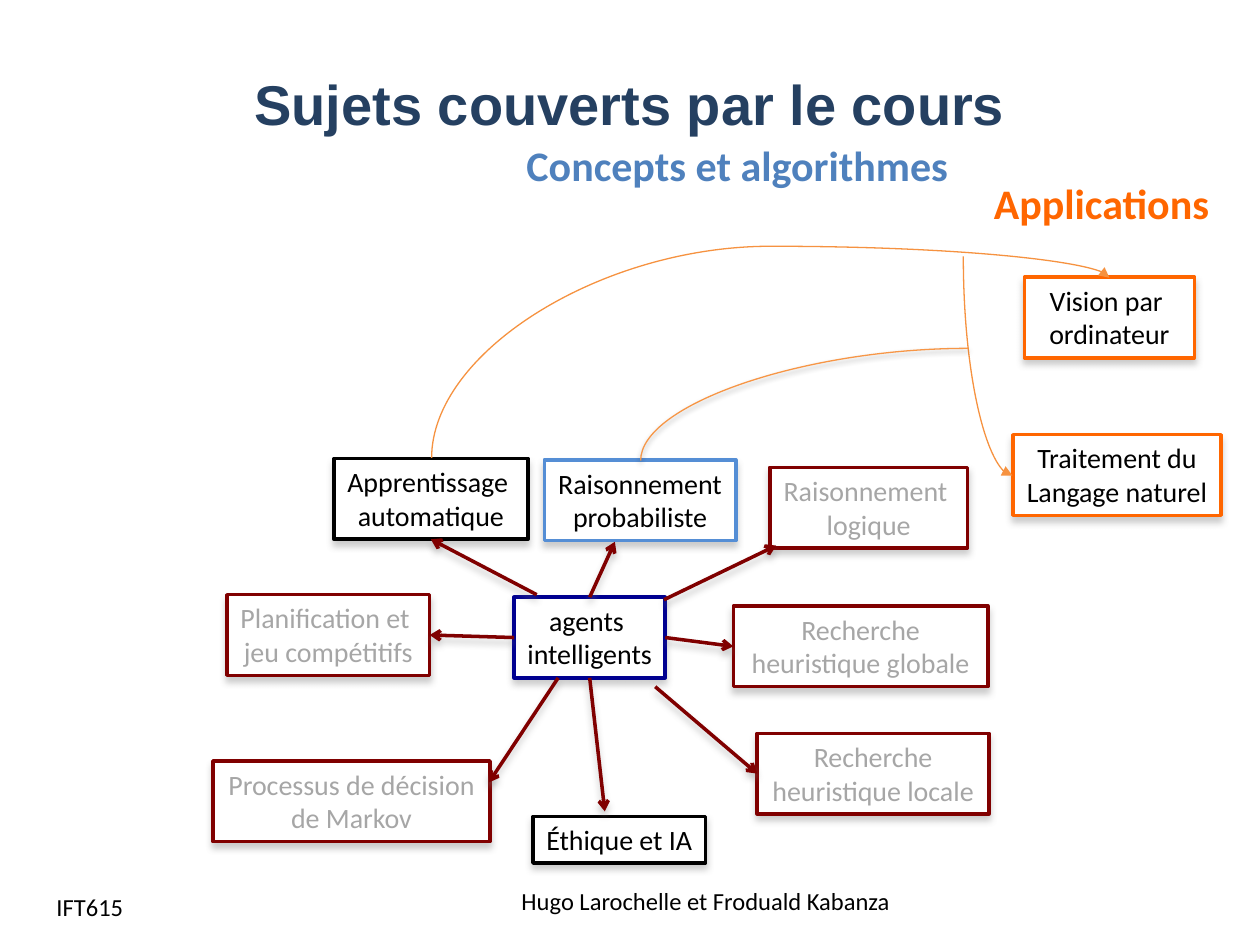
from lxml.etree import SubElement
from pptx import Presentation
from pptx.dml.color import RGBColor
from pptx.enum.shapes import MSO_CONNECTOR, MSO_SHAPE
from pptx.enum.text import MSO_ANCHOR, MSO_AUTO_SIZE, PP_ALIGN
from pptx.oxml.ns import qn
from pptx.util import Inches, Pt

BLACK, GREY, MAROON, ORANGE = "000000", "A6A6A6", "800000", "FF6600"
BOX_SHADOW = ("808080", 40, 4, 3)
CURVE_SHADOW = ("000000", 38, 3.1, 1.6)
TWO_LINES, ONE_LINE = 0.64, 0.37

headings = [
    ("Sujets couverts par le cours", (0.25, 0.43, 9.5, 0.77), 32, "Arial", "254061", True, True, PP_ALIGN.CENTER),
    ("Hugo Larochelle et Froduald Kabanza", (4.04, 6.95, 3.45, 0.4), 14, "Calibri", BLACK, False, True, PP_ALIGN.LEFT),
    ("IFT615", (0.35, 7, 2.33, 0.4), 14, "Calibri", BLACK, False, True, PP_ALIGN.LEFT),
    ("Applications", (7.79, 1.36, 1.93, 0.5), 24, "Calibri", ORANGE, True, False, PP_ALIGN.LEFT),
    ("Concepts et algorithmes", (4.08, 1.06, 3.58, 0.5), 24, "Calibri", "4F81BD", True, False, PP_ALIGN.LEFT),
]

topics = [
    (["agents ", "intelligents"], 4.08, 4.74, 1.2, "000090", BLACK, False),
    (["Raisonnement ", "logique"], 6.11, 3.71, 1.57, MAROON, GREY, False),
    (["Apprentissage ", "automatique"], 2.65, 3.64, 1.54, BLACK, BLACK, False),
    (["Processus de décision ", "de Markov"], 1.69, 6.04, 2.2, MAROON, GREY, True),
    (["Planification et ", "jeu compétitifs"], 1.8, 4.72, 1.61, MAROON, GREY, False),
    (["Recherche heuristique locale"], 6.01, 5.82, 1.84, MAROON, GREY, True),
    (["Recherche heuristique globale"], 5.82, 4.81, 2.02, MAROON, GREY, True),
    (["Éthique et IA"], 4.23, 6.48, 1.37, BLACK, BLACK, False),
    (["Raisonnement", "probabiliste"], 4.32, 3.65, 1.52, "558ED5", BLACK, False),
    (["Vision par ", "ordinateur"], 8.13, 2.2, 1.35, ORANGE, BLACK, True),
    (["Traitement du", "Langage naturel"], 8.04, 3.45, 1.65, ORANGE, BLACK, False),
]

arrows = [
    (4.68, 4.74, 4.88, 4.3),
    (4.26, 4.72, 3.42, 4.28),
    (5.28, 5.06, 5.82, 5.13),
    (5.2, 5.45, 6.01, 6.14),
    (4.68, 5.38, 4.8, 6.44),
    (4.08, 5.06, 3.41, 5.04),
    (4.43, 5.38, 3.88, 6.21),
    (5.27, 4.76, 6.16, 4.33),
]

curves = [
    ((5.4, 0.23, 1.43, 5.38), 90, ("flipH", "flipV"), "curvedConnector3", 117500, "F69240", "triangle", None),
    ((6.97, 2.71, 1.74, 0.39), 270, ("flipH",), "curvedConnector2", None, "F69240", "triangle", None),
    ((5.94, 1.91, 0.89, 2.6), 90, ("flipH", "flipV"), "curvedConnector2", None, "F79646", None, CURVE_SHADOW),
]


def color(value):
    return RGBColor.from_string(value)


def add_effects(spPr, shadow):
    effects = spPr.find(qn("a:effectLst"))
    if effects is None:
        effects = SubElement(spPr, qn("a:effectLst"))
    if shadow:
        tint, alpha, blur, distance = shadow
        outer = SubElement(effects, qn("a:outerShdw"), blurRad=str(Pt(blur)), dist=str(Pt(distance)),
                           dir="5400000", rotWithShape="0")
        shade = SubElement(outer, qn("a:srgbClr"), val=tint)
        SubElement(shade, qn("a:alpha"), val=str(alpha * 1000))


def write(frame, lines, size, font, tint, bold, wrap, align):
    frame.word_wrap = wrap
    for index, line in enumerate(lines):
        paragraph = frame.add_paragraph() if index else frame.paragraphs[0]
        paragraph.alignment = align
        run = paragraph.add_run()
        run.text = line
        run.font.size, run.font.name, run.font.bold = Pt(size), font, bold
        run.font.color.rgb = color(tint)


def style_line(connector, tint, width, head, shadow):
    connector.line.color.rgb = color(tint)
    connector.line.width = Pt(width)
    if head:
        SubElement(connector.line._get_or_add_ln(), qn("a:tailEnd"), type=head)
    add_effects(connector._element.spPr, shadow)


deck = Presentation()
deck.slide_width, deck.slide_height = Inches(10), Inches(7.5)
shapes = deck.slides.add_slide(deck.slide_layouts[6]).shapes

for text, place, size, font, tint, bold, wrap, align in headings:
    frame = shapes.add_textbox(*map(Inches, place)).text_frame
    frame.vertical_anchor = MSO_ANCHOR.MIDDLE if wrap else MSO_ANCHOR.TOP
    write(frame, [text], size, font, tint, bold, wrap, align)

for lines, left, top, width, border, tint, wrap in topics:
    height = ONE_LINE if lines == ["Éthique et IA"] else TWO_LINES
    topic = shapes.add_shape(MSO_SHAPE.RECTANGLE, *map(Inches, (left, top, width, height)))
    topic.fill.solid()
    topic.fill.fore_color.rgb = color("FFFFFF")
    topic.line.color.rgb = color(border)
    topic.line.width = Pt(2)
    topic.shadow.inherit = False
    add_effects(topic._element.spPr, BOX_SHADOW)
    topic.text_frame.vertical_anchor = MSO_ANCHOR.TOP
    topic.text_frame.auto_size = MSO_AUTO_SIZE.SHAPE_TO_FIT_TEXT
    write(topic.text_frame, lines, 16, "Calibri", tint, False, wrap, PP_ALIGN.CENTER)

for ends in arrows:
    arrow = shapes.add_connector(MSO_CONNECTOR.STRAIGHT, *map(Inches, ends))
    style_line(arrow, MAROON, 2, "arrow", BOX_SHADOW)

for (left, top, width, height), turn, flips, preset, bend, tint, head, shadow in curves:
    curve = shapes.add_connector(MSO_CONNECTOR.CURVE, *map(Inches, (left, top, left + width, top + height)))
    spPr = curve._element.spPr
    frame = spPr.find(qn("a:xfrm"))
    frame.set("rot", str(turn * 60000))
    for flip in flips:
        frame.set(flip, "1")
    geometry = spPr.find(qn("a:prstGeom"))
    geometry.set("prst", preset)
    if bend:
        SubElement(geometry.find(qn("a:avLst")), qn("a:gd"), name="adj1", fmla=f"val {bend}")
    style_line(curve, tint, 0.75, head, shadow)

deck.save("out.pptx")
